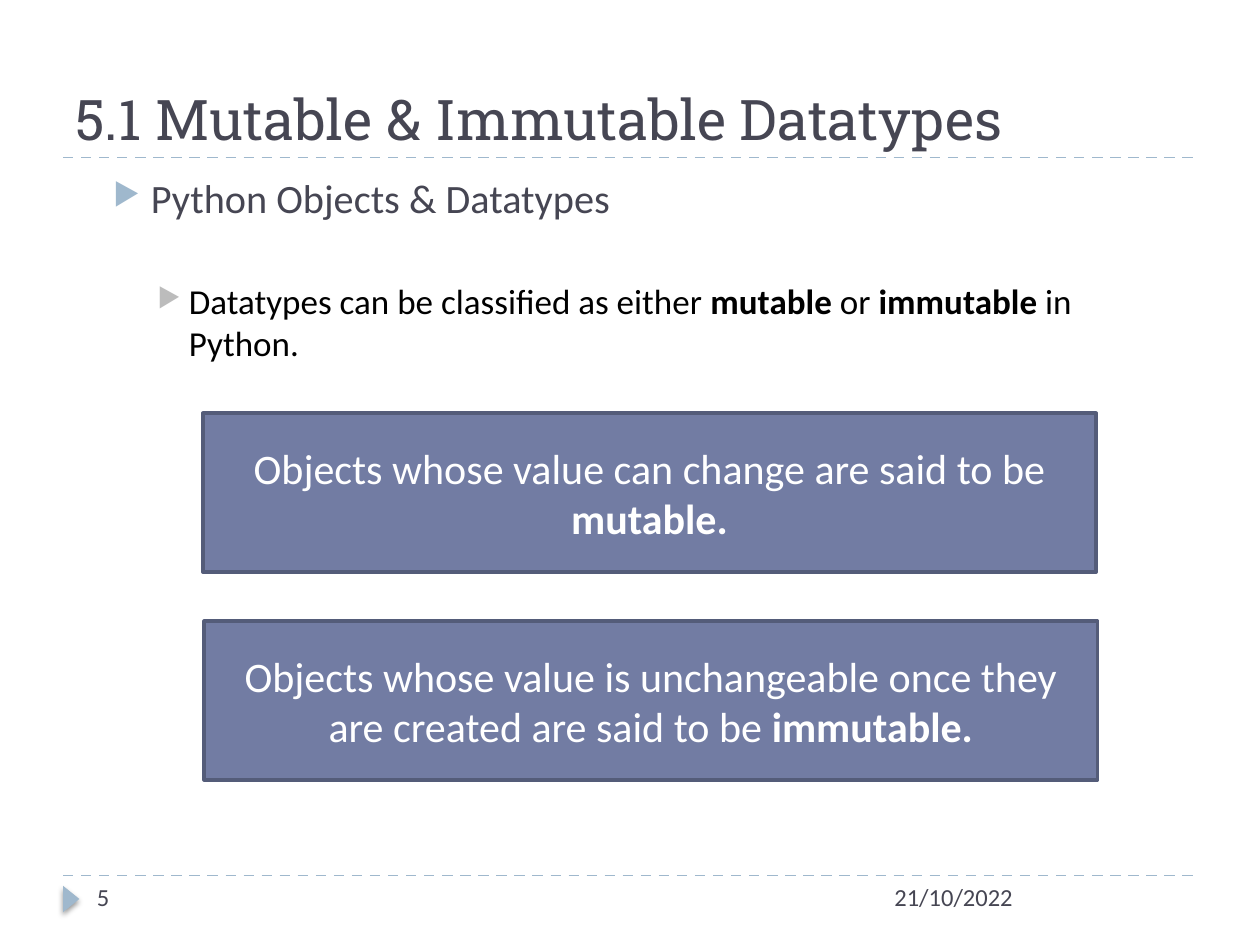
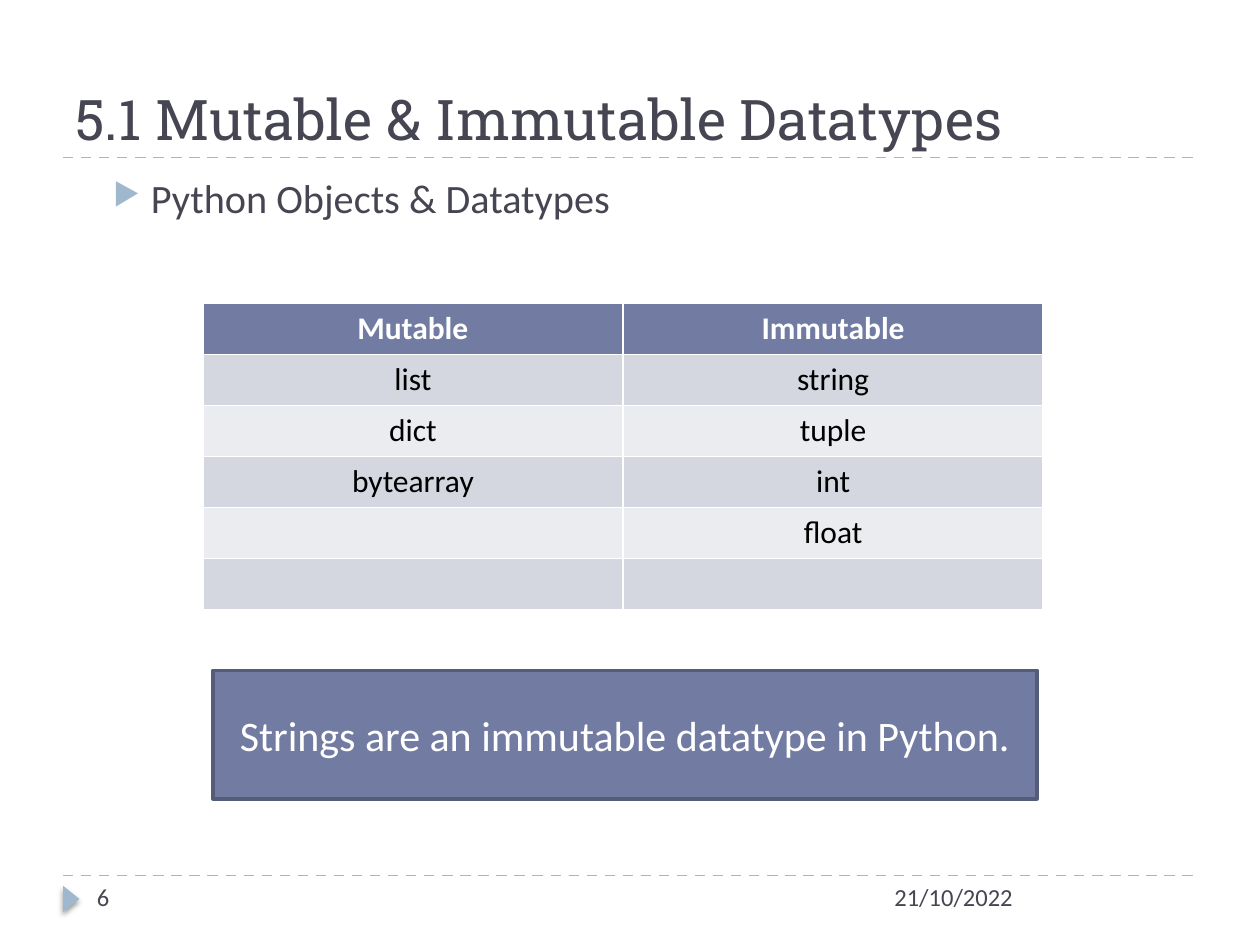
from lxml.etree import SubElement
from pptx import Presentation
from pptx.dml.color import RGBColor
from pptx.enum.shapes import MSO_CONNECTOR, MSO_SHAPE
from pptx.enum.text import MSO_ANCHOR, PP_ALIGN
from pptx.oxml.ns import qn
from pptx.util import Pt

PX = 9144  # EMU per px, 100 px to the inch
COLORS = {
    "ink": "464653", "black": "000000", "white": "FFFFFF",
    "accent": "9FB8CD", "grey": "BCBCBC",
    "panel": "727CA3", "panel_edge": "545C79",
    "band_dark": "D5D7E0", "band_light": "EBECF0",
}
BODY_FONT, TITLE_FONT = "Calibri", "Roboto Slab"
TITLE = "5.1 Mutable & Immutable Datatypes"
TOPIC = "Python Objects & Datatypes"
DATE = "21/10/2022"


def rgb(name):
    return RGBColor.from_string(COLORS[name])


def add_xml(parent, tag, **attributes):
    return SubElement(parent, qn(tag), {k: str(v) for k, v in attributes.items()})


class Deck:
    """Holds the style and the slide being built."""

    def __init__(self):
        self.prs = Presentation()
        self.prs.slide_width, self.prs.slide_height = 1000 * PX, 750 * PX
        self.slide = None

    def new_slide(self, number):
        self.slide = self.prs.slides.add_slide(self.prs.slide_layouts[6])
        # Rules above the footer and below the title
        for y in (695, 125):
            self.dashed_rule(50, y, 950)
        self.footer_marker(46, 707, 21, 13)
        self.label(50, 17, 900, 108, TITLE, 32, TITLE_FONT, MSO_ANCHOR.BOTTOM)
        self.label(700, 695, 250, 40, DATE, 14)
        self.label(67, 695, 217, 40, str(number), 14)

    def add_runs(self, paragraph, runs, size, color, font=BODY_FONT):
        """Each run is a pair of text and bold."""
        for text, bold in runs:
            run = paragraph.add_run()
            run.text = text
            run.font.name, run.font.size, run.font.bold = font, Pt(size), bold
            run.font.color.rgb = rgb(color)

    def text_frame(self, left, top, width, height, anchor=MSO_ANCHOR.TOP):
        box = self.slide.shapes.add_textbox(left * PX, top * PX, width * PX, height * PX)
        box.text_frame.word_wrap = True
        box.text_frame.vertical_anchor = anchor
        return box.text_frame

    def label(self, left, top, width, height, text, size, font=BODY_FONT,
              anchor=MSO_ANCHOR.TOP):
        frame = self.text_frame(left, top, width, height, anchor)
        self.add_runs(frame.paragraphs[0], [(text, False)], size, "ink", font)

    def bullet(self, paragraph, runs, size, color, marker, indent, hang, before):
        paragraph.space_before = Pt(before)
        props = paragraph._p.get_or_add_pPr()
        props.set("marL", str(indent * PX))
        props.set("indent", str(-hang * PX))
        add_xml(add_xml(props, "a:buClr"), "a:srgbClr", val=COLORS[marker])
        add_xml(props, "a:buSzPct", val=76000)
        add_xml(props, "a:buChar", char="▶")
        self.add_runs(paragraph, runs, size, color)

    def outline(self, detail=None):
        frame = self.text_frame(50, 133, 900, 540)
        self.bullet(frame.paragraphs[0], [(TOPIC, False)], 23, "ink", "accent", 60, 30, 5)
        if detail:
            self.bullet(frame.add_paragraph(), detail, 20, "black", "grey", 90, 25, 33)

    def dashed_rule(self, left, y, right):
        rule = self.slide.shapes.add_connector(
            MSO_CONNECTOR.STRAIGHT, left * PX, y * PX, right * PX, y * PX)
        rule.line.color.rgb = rgb("accent")
        rule.line.width = Pt(0.75)
        dashes = add_xml(rule.line._get_or_add_ln(), "a:custDash")
        add_xml(dashes, "a:ds", d=800000, sp=600000)
        add_xml(rule._element.spPr, "a:effectLst")

    def footer_marker(self, left, top, width, height):
        marker = self.slide.shapes.add_shape(
            MSO_SHAPE.ISOSCELES_TRIANGLE, left * PX, top * PX, width * PX, height * PX)
        marker.rotation = 90
        marker.fill.solid()
        marker.fill.fore_color.rgb = rgb("accent")
        marker.line.fill.background()
        shadow = add_xml(add_xml(marker._element.spPr, "a:effectLst"), "a:outerShdw",
                         blurRad=int(Pt(3)), dist=int(Pt(2)), dir=5400000, rotWithShape=0)
        shade = add_xml(shadow, "a:srgbClr", val=COLORS["black"])
        add_xml(shade, "a:alpha", val=40000)

    def panel(self, left, top, width, height, runs):
        panel = self.slide.shapes.add_shape(
            MSO_SHAPE.RECTANGLE, left * PX, top * PX, width * PX, height * PX)
        panel.shadow.inherit = False
        panel.fill.solid()
        panel.fill.fore_color.rgb = rgb("panel")
        panel.line.color.rgb = rgb("panel_edge")
        panel.line.width = Pt(2)
        frame = panel.text_frame
        frame.word_wrap = True
        frame.vertical_anchor = MSO_ANCHOR.MIDDLE
        frame.paragraphs[0].alignment = PP_ALIGN.CENTER
        self.add_runs(frame.paragraphs[0], runs, 24, "white")

    def table(self, left, top, width, height, rows):
        # The default table style supplies the white cell borders
        grid = self.slide.shapes.add_table(
            len(rows), len(rows[0]), left * PX, top * PX, width * PX, height * PX).table
        for r, row in enumerate(rows):
            header = r == 0
            fill = "panel" if header else "band_dark" if r % 2 else "band_light"
            for c, text in enumerate(row):
                cell = grid.cell(r, c)
                cell.fill.solid()
                cell.fill.fore_color.rgb = rgb(fill)
                if text:
                    paragraph = cell.text_frame.paragraphs[0]
                    paragraph.alignment = PP_ALIGN.CENTER
                    self.add_runs(paragraph, [(text, header)], 18,
                                  "white" if header else "black")


def main():
    deck = Deck()

    # Definitions of mutable and immutable
    deck.new_slide(5)
    deck.outline([("Datatypes can be classified as either ", False), ("mutable ", True),
                  ("or ", False), ("immutable ", True), ("in Python.", False)])
    deck.panel(161, 328, 709, 126, [
        ("Objects whose value can change are said to be ", False), ("mutable.", True)])
    deck.panel(162, 493, 709, 126, [
        ("Objects whose value is unchangeable once they are created are said to be ", False),
        ("immutable.", True)])

    # Datatypes by group
    deck.new_slide(6)
    deck.outline()
    deck.table(161, 241, 667, 243, [
        ("Mutable", "Immutable"),
        ("list", "string"),
        ("dict", "tuple"),
        ("bytearray", "int"),
        ("", "float"),
        ("", ""),
    ])
    deck.panel(169, 532, 654, 102, [("Strings are an immutable datatype in Python.", False)])

    deck.prs.save("out.pptx")


if __name__ == "__main__":
    main()
